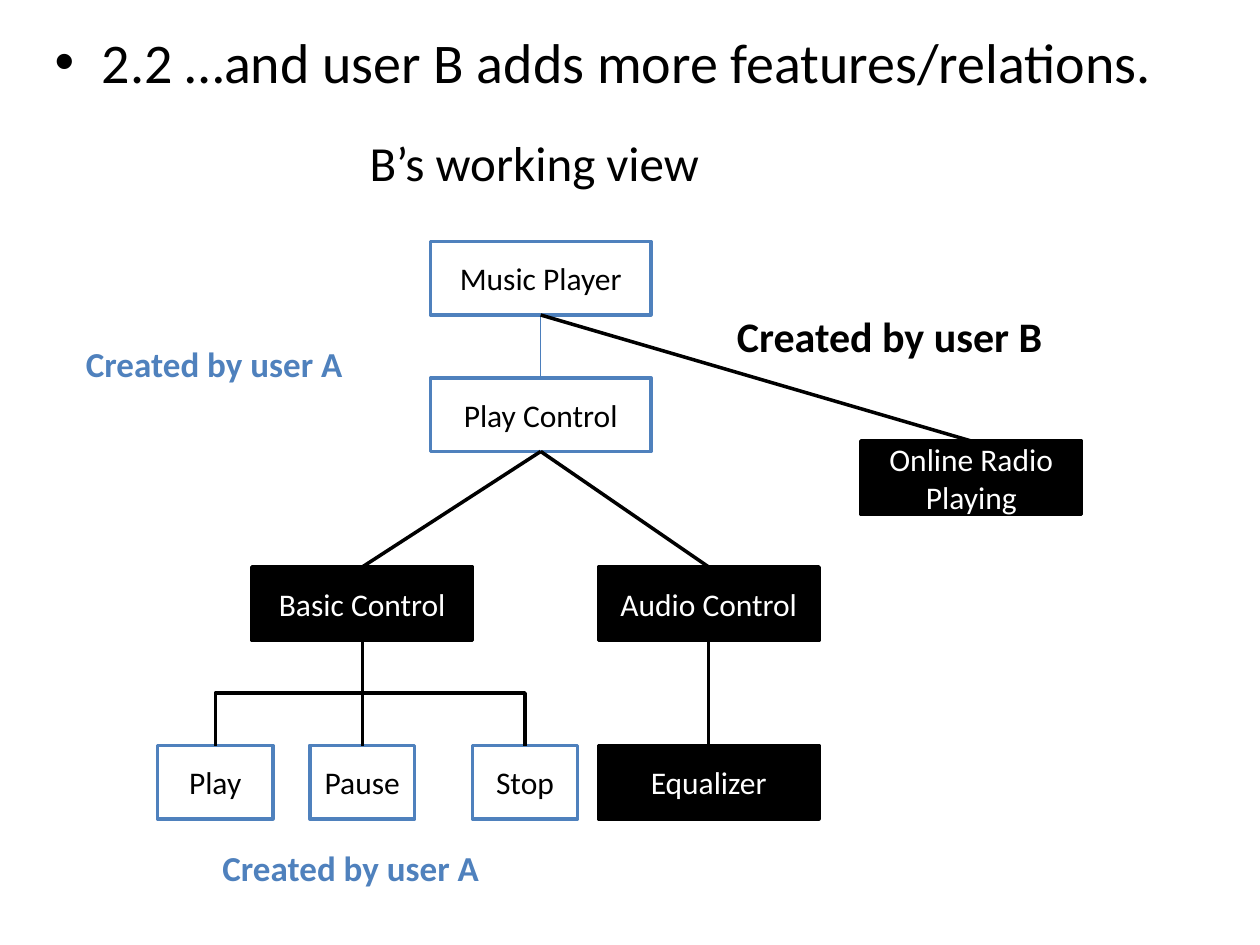
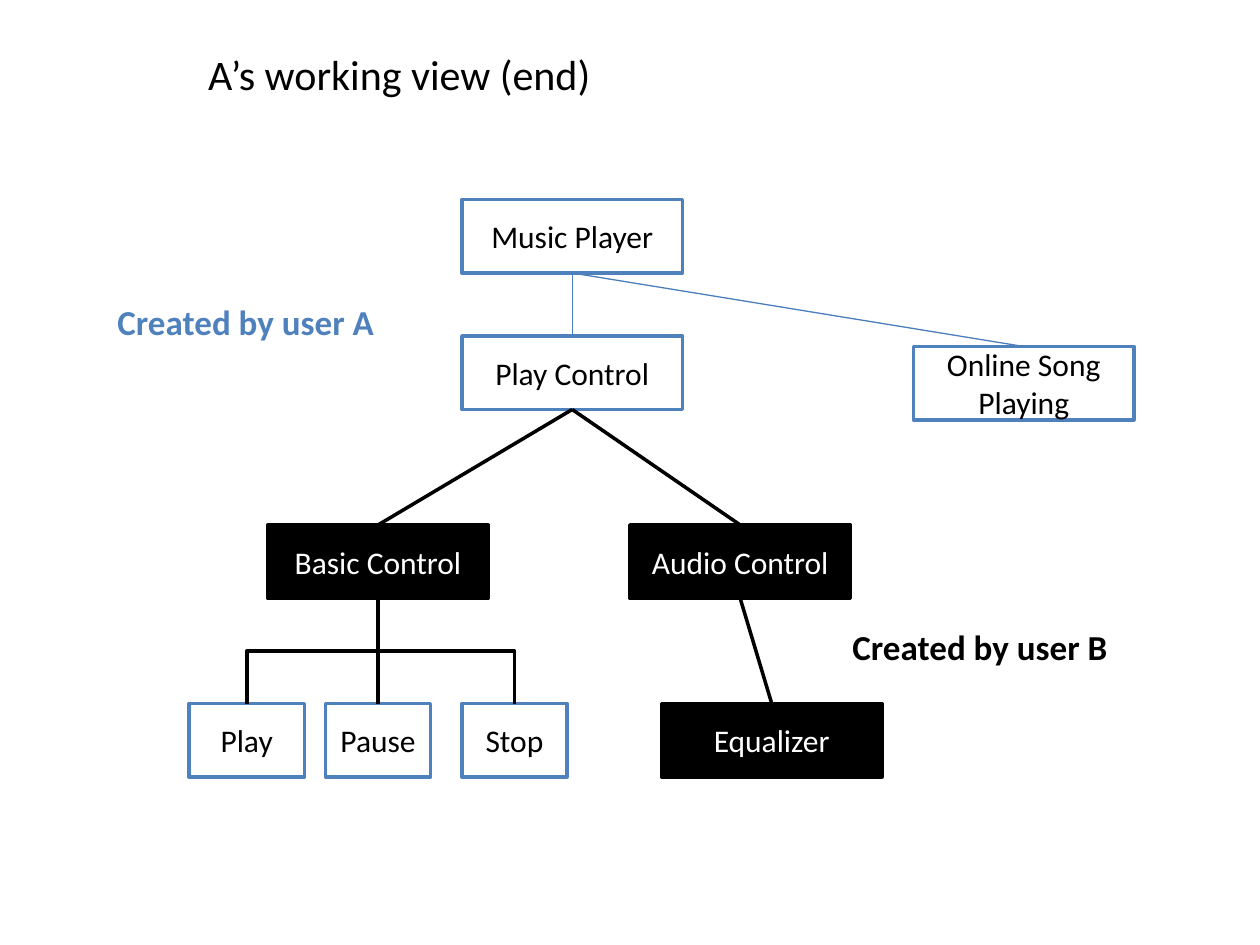
"""Build two slides showing users A and B editing one feature tree."""
from typing import NamedTuple

from lxml import etree
from pptx import Presentation
from pptx import util as u
from pptx.dml import color
from pptx.enum import shapes, text
from pptx.oxml import ns

PX = 9525
BLACK = color.RGBColor(0x00, 0x00, 0x00)
WHITE = color.RGBColor(0xFF, 0xFF, 0xFF)
BLUE = color.RGBColor(0x4F, 0x81, 0xBD)
LINK_BLUE = color.RGBColor(0x4B, 0x7E, 0xBC)
FONT = "Calibri"
FEATURE_WIDTH, ACTION_WIDTH, FEATURE_HEIGHT = 168, 80, 56
ROOT, PLAY, GROUP, LEAF = 0, 104, 248, 384


class Feature(NamedTuple):
    name: str
    left: int
    drop: int
    by_b: bool = False
    width: int = FEATURE_WIDTH


class Relation(NamedTuple):
    parent: str
    child: str
    by_b: bool = True
    bent: bool = False


class Caption(NamedTuple):
    words: str
    left: int
    top: int
    width: int
    height: int = 42
    size: int = 20
    colour: color.RGBColor = BLUE


class View(NamedTuple):
    title: Caption
    top: int
    features: list[Feature]
    online: Relation
    captions: list[Caption]
    step: str = ""


RELATIONS = [
    Relation("Music Player", "Play Control", by_b=False),
    Relation("Play Control", "Basic Control"),
    Relation("Play Control", "Audio Control"),
    Relation("Audio Control", "Equalizer"),
    *(Relation("Basic Control", action, bent=True) for action in ("Play", "Pause", "Stop")),
]

VIEWS = [
    View(
        Caption("B’s working view", 272, 96, 296, 55, 28, BLACK),
        184,
        [
            Feature("Music Player", 328, ROOT),
            Feature("Play Control", 328, PLAY),
            Feature("Basic Control", 192, GROUP, True),
            Feature("Audio Control", 456, GROUP, True),
            Feature("Play", 120, LEAF, width=88),
            Feature("Pause", 236, LEAF, width=ACTION_WIDTH),
            Feature("Stop", 360, LEAF, width=ACTION_WIDTH),
            Feature("Equalizer", 456, LEAF, True),
            Feature("Online Radio Playing", 656, 152, True),
        ],
        Relation("Music Player", "Online Radio Playing"),
        [
            Caption("Created by user B", 552, 232, 254, 48, 24, BLACK),
            Caption("Created by user A", 56, 256, 217),
            Caption("Created by user A", 160, 640, 217),
        ],
        "2.2 …and user B adds more features/relations.",
    ),
    View(
        Caption("A’s working view (end)", 149, 32, 619, 48, 24, BLACK),
        152,
        [
            Feature("Music Player", 352, ROOT),
            Feature("Play Control", 352, PLAY),
            Feature("Basic Control", 204, GROUP, True),
            Feature("Audio Control", 480, GROUP, True),
            Feature("Play", 144, LEAF, width=88),
            Feature("Pause", 248, LEAF, width=ACTION_WIDTH),
            Feature("Stop", 352, LEAF, width=ACTION_WIDTH),
            Feature("Equalizer", 504, LEAF, True),
            Feature("Online Song Playing", 696, 112),
        ],
        Relation("Music Player", "Online Song Playing", by_b=False),
        [
            Caption("Created by user B", 640, 472, 216, colour=BLACK),
            Caption("Created by user A", 80, 224, 217),
        ],
    ),
]


def px(*lengths: int) -> list[int]:
    return [length * PX for length in lengths]


def write(frame, words: str, *, size: int, colour=BLACK, bold=False, wrap=True,
          align=text.PP_ALIGN.LEFT, anchor=text.MSO_ANCHOR.TOP) -> None:
    frame.auto_size = text.MSO_AUTO_SIZE.NONE
    frame.word_wrap = wrap
    frame.vertical_anchor = anchor
    paragraph = frame.paragraphs[0]
    paragraph.alignment = align
    run = paragraph.add_run()
    run.text = words
    run.font.name = FONT
    run.font.size = u.Pt(size)
    run.font.bold = bold
    run.font.color.rgb = colour


def place(part, left: int, top: int, width: int, height: int) -> None:
    part.left, part.top, part.width, part.height = px(left, top, width, height)


def draw_feature(slide, feature: Feature, top: int):
    box = slide.shapes.add_shape(
        shapes.MSO_SHAPE.RECTANGLE,
        *px(feature.left, top + feature.drop, feature.width, FEATURE_HEIGHT))
    box.shadow.inherit = False
    box.fill.solid()
    box.fill.fore_color.rgb = BLACK if feature.by_b else WHITE
    box.line.color.rgb = BLACK if feature.by_b else BLUE
    box.line.width = u.Pt(2)
    write(box.text_frame, feature.name, size=18, colour=WHITE if feature.by_b else BLACK,
          align=text.PP_ALIGN.CENTER, anchor=text.MSO_ANCHOR.MIDDLE)
    return box


def turn_downward(link) -> None:
    """Turn an elbow so that it leaves its parent vertically."""
    start_x, start_y, end_x, end_y = link.begin_x, link.begin_y, link.end_x, link.end_y
    run, rise = abs(end_x - start_x), end_y - start_y
    rightward = end_x > start_x
    link.left = (start_x + end_x - rise) // 2
    link.top = (start_y + end_y - run) // 2
    link.width, link.height = rise, run
    frame = link._element.spPr.find(ns.qn("a:xfrm"))
    frame.set("rot", "16200000" if rightward else "5400000")
    frame.set("flipH", "1" if rightward else "0")


def draw_relation(slide, relation: Relation, boxes: dict) -> None:
    kind = shapes.MSO_CONNECTOR.ELBOW if relation.bent else shapes.MSO_CONNECTOR.STRAIGHT
    link = slide.shapes.add_connector(kind, 0, 0, 0, 0)
    link.begin_connect(boxes[relation.parent], 2)
    link.end_connect(boxes[relation.child], 0)
    if relation.bent:
        turn_downward(link)
    link.line.color.rgb = BLACK if relation.by_b else LINK_BLUE
    link.line.width = u.Pt(2 if relation.by_b else 0.75)
    etree.SubElement(link._element.spPr, ns.qn("a:effectLst"))


def draw_view(deck, view: View) -> None:
    slide = deck.slides.add_slide(deck.slide_layouts[1 if view.step else 5])
    title = view.title
    place(slide.shapes.title, title.left, title.top, title.width, title.height)
    write(slide.shapes.title.text_frame, title.words, size=title.size)
    if view.step:
        step = slide.placeholders[1]
        place(step, 32, 16, 928, 288)
        write(step.text_frame, view.step, size=32)
    boxes = {feature.name: draw_feature(slide, feature, view.top) for feature in view.features}
    for relation in [*RELATIONS, view.online]:
        draw_relation(slide, relation, boxes)
    for caption in view.captions:
        area = slide.shapes.add_textbox(
            *px(caption.left, caption.top, caption.width, caption.height))
        write(area.text_frame, caption.words, size=caption.size, colour=caption.colour,
              bold=True, wrap=False)


def main() -> None:
    deck = Presentation()
    deck.slide_width, deck.slide_height = px(960, 720)
    for view in VIEWS:
        draw_view(deck, view)
    deck.save("out.pptx")


if __name__ == "__main__":
    main()
